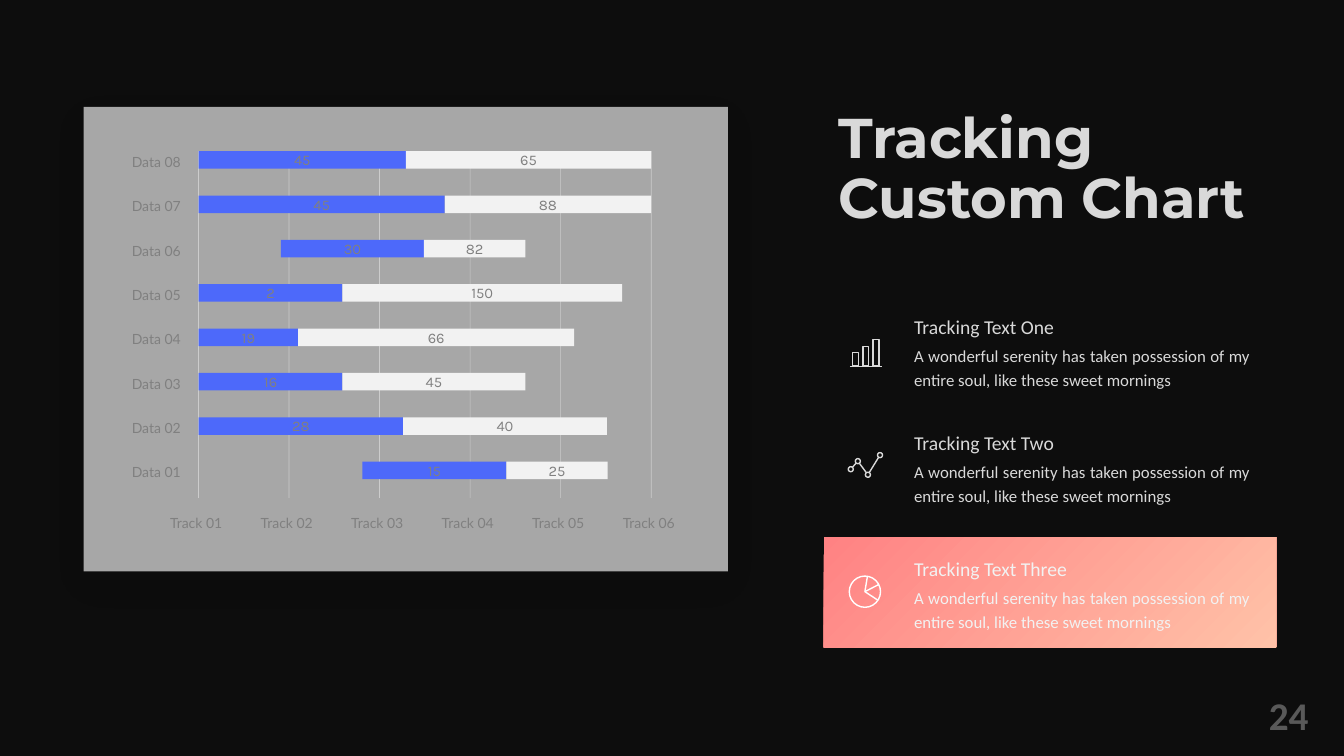
from lxml import etree
from pptx import Presentation
from pptx import util as u
from pptx.dml.color import RGBColor
from pptx.enum import shapes, text
from pptx.oxml.ns import qn

# Every length is in grid cells; columns and rows are a tenth of an inch
CELL = u.Inches(0.1)
COLS, ROWS = 133.33, 75

COLORS = {
    "back": "0D0D0D", "card": "FFFFFF", "light": "D9D9D9", "pale": "F2F2F2",
    "blue": "4D69FA", "grey": "808080", "page": "595959", "shadow": "000000",
    "coral": "FF8283", "peach": "FFC2A8", "white": "FFFFFF",
}

# Chart grid: track lines and data rows
LEFT, TOP, BOTTOM = 19.7, 15, 49.4
TRACK, ROW, BAR = 8.98, 4.4, 1.74
TRACKS = 6

# Label, start, split and end in tracks, then the two values shown
DATA = [
    ("Data 08", 0, 2.29, 5, "45", "65"),
    ("Data 07", 0, 2.72, 5, "45", "88"),
    ("Data 06", 0.91, 2.49, 3.61, "30", "82"),
    ("Data 05", 0, 1.59, 4.68, "2", "150"),
    ("Data 04", 0, 1.1, 4.15, "19", "66"),
    ("Data 03", 0, 1.59, 3.61, "16", "45"),
    ("Data 02", 0, 2.26, 4.51, "28", "40"),
    ("Data 01", 1.81, 3.4, 4.52, "15", "25"),
]
BODY = ("A wonderful serenity has taken possession of my entire soul, "
        "like these sweet mornings")


def g(cells):
    return round(cells * CELL)


def rgb(name):
    return RGBColor.from_string(COLORS[name])


def write(sp, words, size, font, color, bold=False, align="LEFT", anchor="TOP",
          spacing=None, after=None, wrap=True):
    tf = sp.text_frame
    tf.word_wrap = wrap
    tf.auto_size = text.MSO_AUTO_SIZE.NONE
    tf.vertical_anchor = text.MSO_ANCHOR[anchor]
    p = tf.paragraphs[0]
    p.text = words
    p.alignment = text.PP_ALIGN[align]
    p.line_spacing = spacing
    if after:
        p.space_after = u.Pt(after)
    for r in p.runs:
        r.font.size, r.font.name, r.font.bold = u.Pt(size), font, bold
        r.font.color.rgb = rgb(color)


def label(s, x, y, w, h, words, size, font, color, **fmt):
    sp = s.shapes.add_textbox(g(x), g(y), g(w), g(h))
    write(sp, words, size, font, color, **fmt)


def shape(s, x, y, w, h, fill=None, line=None, kind="RECTANGLE"):
    sp = s.shapes.add_shape(shapes.MSO_SHAPE[kind], g(x), g(y), g(w), g(h))
    sp.shadow.inherit = False
    if fill:
        sp.fill.solid()
        sp.fill.fore_color.rgb = rgb(fill)
    else:
        sp.fill.background()
    if line:
        sp.line.color.rgb = rgb(line)
        sp.line.width = u.Pt(1)
    else:
        sp.line.fill.background()
    return sp


def set_alpha(color, percent):
    etree.SubElement(color, qn("a:alpha"), val=str(percent * 1000))


def line(s, x1, y1, x2, y2, color, width=1, alpha=None):
    cx = s.shapes.add_connector(shapes.MSO_CONNECTOR.STRAIGHT,
                                g(x1), g(y1), g(x2), g(y2))
    cx.line.color.rgb = rgb(color)
    cx.line.width = u.Pt(width)
    if alpha:
        set_alpha(cx.line._ln.find(".//" + qn("a:srgbClr")), alpha)
    etree.SubElement(cx._element.spPr, qn("a:effectLst"))


def card(s, x, y, w, h):
    sp = shape(s, x, y, w, h, "card")
    spPr = sp._element.spPr
    set_alpha(spPr.find(".//" + qn("a:srgbClr")), 64)
    # Soft shadow below the card
    shadow = etree.SubElement(
        spPr.find(qn("a:effectLst")), qn("a:outerShdw"), blurRad=str(u.Pt(25)),
        dist=str(u.Pt(9)), dir="5400000", algn="t", rotWithShape="0")
    color = etree.SubElement(shadow, qn("a:srgbClr"), val=COLORS["shadow"])
    set_alpha(color, 5)


def bar(s, start, end, y, value, fill):
    sp = shape(s, LEFT + start * TRACK, y, (end - start) * TRACK, BAR, fill)
    write(sp, value, 10.5, "Karla", "grey", align="CENTER", anchor="MIDDLE",
          wrap=False)


def tracking_chart(s):
    small = dict(size=10, font="Lato", color="grey", spacing=1.2, wrap=False)
    for i in range(TRACKS):
        x = LEFT + i * TRACK
        line(s, x, TOP, x, BOTTOM, "pale", width=0.5, alpha=50)
        label(s, x - 3.8, 50.2, 7.6, 2.8, f"Track {i + 1:02}", **small)
    for i, (name, start, split, end, first, second) in enumerate(DATA):
        y = TOP + i * ROW
        label(s, 12.1, y - 0.6, 7.6, 2.8, name, **small)
        bar(s, start, split, y, first, "blue")
        bar(s, split, end, y, second, "pale")


# Icons, each drawn from its top left corner
def bars_icon(s, x, y, color):
    for i, height in enumerate((1.3, 1.9, 2.6)):
        shape(s, x + 0.4 + i, y + 3.2 - height, 0.6, height, line=color)
    line(s, x + 0.1, y + 3.25, x + 3.3, y + 3.25, color)


def nodes_icon(s, x, y, color):
    nodes = [(0.2, 1.95), (0.9, 1.15), (1.9, 2.5), (3.1, 0.55)]
    for (x1, y1), (x2, y2) in zip(nodes, nodes[1:]):
        # Links stop short of the rings
        gap = 0.25 / ((x2 - x1) ** 2 + (y2 - y1) ** 2) ** 0.5
        dx, dy = (x2 - x1) * gap, (y2 - y1) * gap
        line(s, x + x1 + dx, y + y1 + dy, x + x2 - dx, y + y2 - dy, color)
    for nx, ny in nodes:
        shape(s, x + nx - 0.25, y + ny - 0.25, 0.5, 0.5, line=color, kind="OVAL")


def pie_icon(s, x, y, color):
    shape(s, x + 0.05, y + 0.05, 3.1, 3.1, line=color, kind="OVAL")
    for dx, dy in ((0.25, -1.5), (1.35, -0.7), (1.3, 0.85)):
        line(s, x + 1.6, y + 1.6, x + 1.6 + dx, y + 1.6 + dy, color)


def item(s, y, heading, icon, color, icon_color):
    icon(s, 84.2, y + 2.8, icon_color)
    label(s, 89.7, y, 22.9, 3.6, heading, 14, "Calibri", color, spacing=1.2)
    label(s, 89.7, y + 3.1, 35.3, 5.7, BODY, 12, "Calibri", color,
          align="JUSTIFY", spacing=1.2, after=6)


def highlight(s, x, y, w, h):
    sp = shape(s, x, y, w, h)
    sp.fill.gradient()
    sp.fill.gradient_angle = 315
    for stop, name in zip(sp.fill.gradient_stops, ("coral", "peach")):
        stop.color.rgb = rgb(name)


def main():
    prs = Presentation()
    prs.slide_width, prs.slide_height = g(COLS), g(ROWS)
    s = prs.slides.add_slide(prs.slide_layouts[5])
    s.background.fill.solid()
    s.background.fill.fore_color.rgb = rgb("back")

    # Title and page number
    title = s.shapes.title
    title.left, title.top, title.width, title.height = map(g, (82.2, 10.4, 43.2, 13.1))
    write(title, "Tracking \vCustom Chart", 40, "Montserrat", "light", bold=True,
          spacing=0.9)
    label(s, 114.8, 68.1, 16, 5.7, "24", 28, "Calibri", "page", bold=True,
          align="RIGHT")

    # Chart on its card
    card(s, 8.3, 10.6, 63.9, 46.1)
    tracking_chart(s)

    # Items, the last one highlighted
    item(s, 30.3, "Tracking Text One", bars_icon, "light", "light")
    item(s, 41.8, "Tracking Text Two", nodes_icon, "light", "light")
    highlight(s, 81.7, 53.3, 44.9, 10.9)
    item(s, 54.3, "Tracking Text Three", pie_icon, "pale", "white")

    prs.save("out.pptx")


if __name__ == "__main__":
    main()
